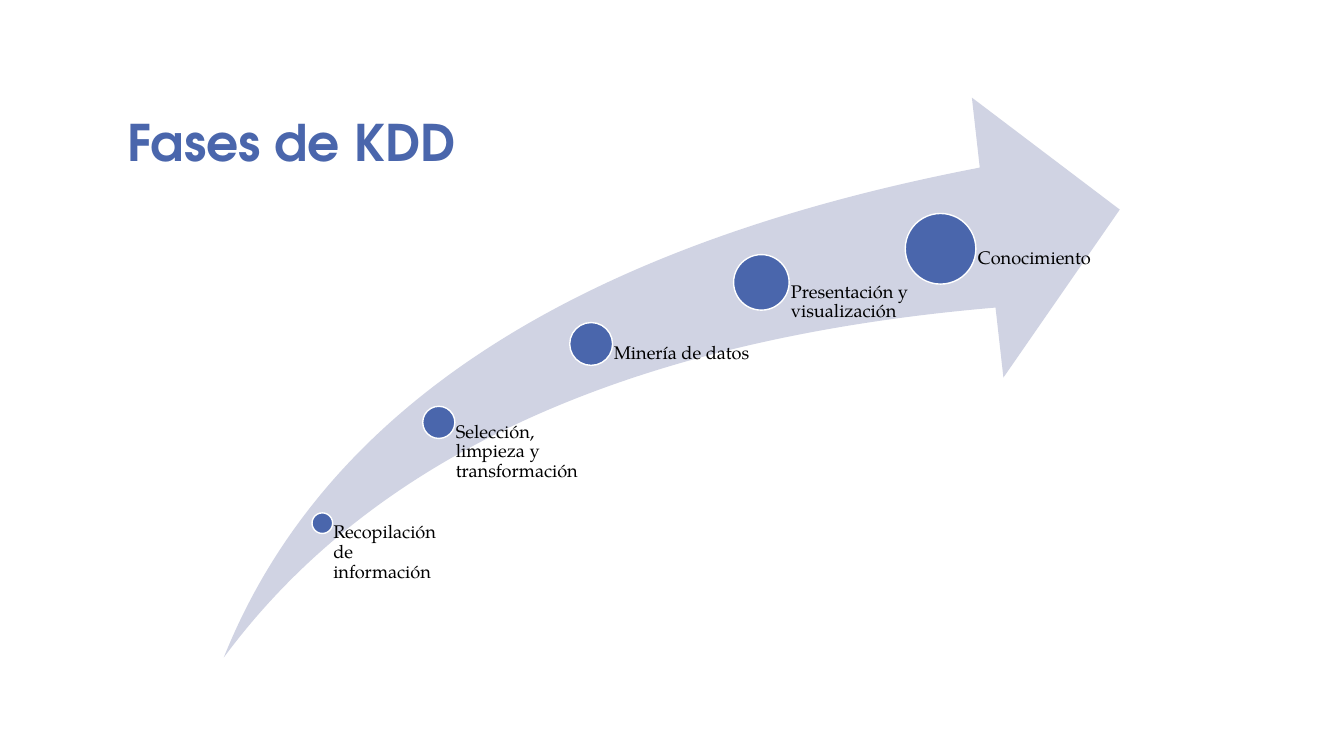
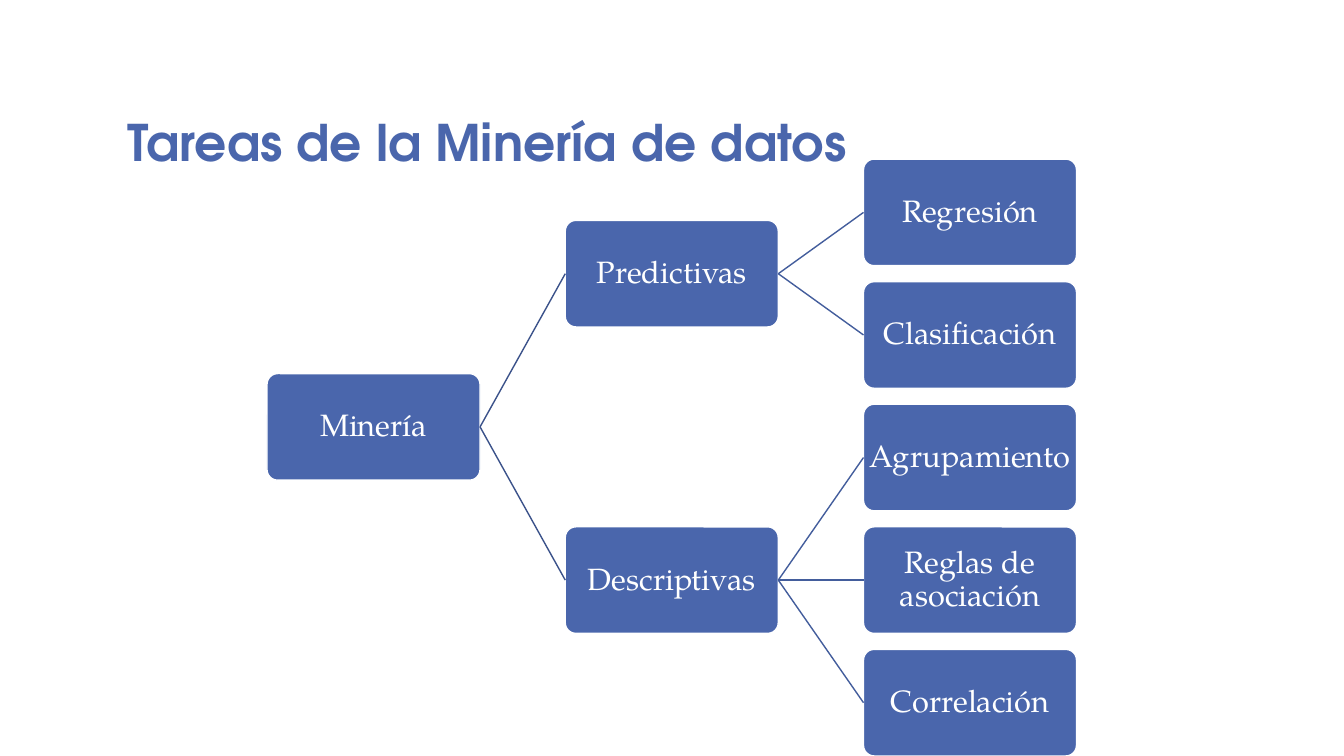
from dataclasses import dataclass

from lxml.etree import SubElement
from pptx import Presentation
from pptx.dml.color import RGBColor
from pptx.enum.shapes import MSO_CONNECTOR, MSO_SHAPE
from pptx.enum.text import MSO_ANCHOR, MSO_AUTO_SIZE, PP_ALIGN
from pptx.oxml.ns import qn
from pptx.util import Cm, Pt


@dataclass(frozen=True)
class Theme:
    accent: str = "4A66AC"
    swoosh: str = "D0D3E3"
    branches: tuple = ("3B528A", "435D9C")
    light: str = "FFFFFF"
    dark: str = "000000"
    title_font: str = "TeX Gyre Adventor"
    body_font: str = "TeX Gyre Pagella"
    title_size: int = 36
    label_size: int = 13
    node_size: int = 22
    line_width: int = 1


@dataclass(frozen=True)
class Box:
    left: float
    top: float
    width: float
    height: float

    def lengths(self):
        return Cm(self.left), Cm(self.top), Cm(self.width), Cm(self.height)


@dataclass(frozen=True)
class Phase:
    name: str
    x: float
    y: float
    diameter: float
    label_width: float


@dataclass(frozen=True)
class Task:
    name: str
    subtasks: tuple = ()


THEME = Theme()
TITLE_BOX = Box(2.95, 1.47, 24.13, 2.97)
SWOOSH_BOX = Box(5.64, 2.46, 22.58, 14.11)
TREE_BOX = Box(6.73, 4.01, 20.4, 15.04)
RIGHT_SITE, LEFT_SITE = 3, 1

PHASES = (
    Phase("Recopilación de información", 0.11, 0.76, 0.52, 2.95),
    Phase("Selección, limpieza y transformación", 0.24, 0.58, 0.81, 3.76),
    Phase("Minería de datos", 0.41, 0.44, 1.08, 4.36),
    Phase("Presentación y visualización", 0.6, 0.33, 1.4, 4.52),
    Phase("Conocimiento", 0.8, 0.27, 1.78, 4.52),
)

TASKS = Task("Minería", (
    Task("Predictivas", (Task("Regresión"), Task("Clasificación"))),
    Task("Descriptivas", (
        Task("Agrupamiento"),
        Task("Reglas de asociación"),
        Task("Correlación"),
    )),
))


def color(value):
    return RGBColor.from_string(value)


def write(frame, text, font, size, fill, align=PP_ALIGN.LEFT,
          anchor=MSO_ANCHOR.TOP, spacing=0.9, bold=False):
    frame.text = text
    frame.word_wrap = True
    frame.auto_size = MSO_AUTO_SIZE.NONE
    frame.vertical_anchor = anchor
    paragraph = frame.paragraphs[0]
    paragraph.alignment = align
    paragraph.line_spacing = spacing
    style = paragraph.runs[0].font
    style.name, style.size, style.bold = font, Pt(size), bold
    style.color.rgb = color(fill)


def set_insets(frame, left, top, right, bottom):
    frame.margin_left, frame.margin_top = Cm(left), Cm(top)
    frame.margin_right, frame.margin_bottom = Cm(right), Cm(bottom)


def add_filled(slide, preset, box, fill, outline=None):
    figure = slide.shapes.add_shape(preset, *box.lengths())
    figure.shadow.inherit = False
    figure.fill.solid()
    figure.fill.fore_color.rgb = color(fill)
    if outline:
        figure.line.color.rgb = color(outline)
        figure.line.width = Pt(THEME.line_width)
    else:
        figure.line.fill.background()
    return figure


def add_titled_slide(deck, text):
    slide = deck.slides.add_slide(deck.slide_layouts[5])
    title = slide.shapes.title
    title.left, title.top, title.width, title.height = TITLE_BOX.lengths()
    write(title.text_frame, text, THEME.title_font, THEME.title_size,
          THEME.accent, anchor=MSO_ANCHOR.BOTTOM, spacing=0.8, bold=True)
    return slide


def add_phase(slide, area, phase):
    center_x = area.left + phase.x * area.width
    center_y = area.top + phase.y * area.height
    radius = phase.diameter / 2
    dot = Box(center_x - radius, center_y - radius,
              phase.diameter, phase.diameter)
    add_filled(slide, MSO_SHAPE.OVAL, dot, THEME.accent, THEME.light)
    label_box = Box(center_x, center_y, phase.label_width,
                    area.top + area.height - center_y)
    label = slide.shapes.add_textbox(*label_box.lengths()).text_frame
    set_insets(label, 0.53 * phase.diameter, 0, 0, 0)
    write(label, phase.name, THEME.body_font, THEME.label_size, THEME.dark)


def add_phase_swoosh(slide, area, phases):
    arrow = add_filled(slide, MSO_SHAPE.SWOOSH_ARROW, area, THEME.swoosh)
    arrow.adjustments[0] = 0.25
    arrow.adjustments[1] = 0.25
    for phase in phases:
        add_phase(slide, area, phase)


def add_branch(slide, parent, child, level):
    branch = slide.shapes.add_connector(MSO_CONNECTOR.STRAIGHT, 0, 0, 0, 0)
    branch.begin_connect(parent, RIGHT_SITE)
    branch.end_connect(child, LEFT_SITE)
    branch.line.color.rgb = color(THEME.branches[level])
    branch.line.width = Pt(THEME.line_width)
    SubElement(branch.element.spPr, qn("a:effectLst"))


def add_node(slide, box, name):
    node = add_filled(slide, MSO_SHAPE.ROUNDED_RECTANGLE, box,
                      THEME.accent, THEME.light)
    node.adjustments[0] = 0.1
    set_insets(node.text_frame, 0.05, 0.05, 0.05, 0.05)
    write(node.text_frame, name, THEME.body_font, THEME.node_size,
          THEME.light, PP_ALIGN.CENTER, MSO_ANCHOR.MIDDLE)
    return node


def count_leaves(task):
    return sum(map(count_leaves, task.subtasks)) or 1


def add_task_tree(slide, area, root):
    leaves = count_leaves(root)
    node_height = area.height / (leaves + 0.15 * (leaves - 1))
    node_width = area.width / 3.8
    row_pitch, column_pitch = 1.15 * node_height, 1.4 * node_width

    def place(task, level, first_row):
        children, row = [], first_row
        for subtask in task.subtasks:
            children.append(place(subtask, level + 1, row))
            row += count_leaves(subtask)
        rows = [child_row for _, child_row in children]
        middle = sum(rows) / len(rows) if rows else first_row
        box = Box(area.left + level * column_pitch,
                  area.top + middle * row_pitch, node_width, node_height)
        node = add_node(slide, box, task.name)
        for child, _ in children:
            add_branch(slide, node, child, level)
        return node, middle

    place(root, 0, 0)


def main():
    deck = Presentation()
    deck.slide_width, deck.slide_height = Cm(33.87), Cm(19.05)
    add_phase_swoosh(add_titled_slide(deck, "Fases de KDD"),
                     SWOOSH_BOX, PHASES)
    add_task_tree(add_titled_slide(deck, "Tareas de la Minería de datos"),
                  TREE_BOX, TASKS)
    deck.save("out.pptx")


if __name__ == "__main__":
    main()
